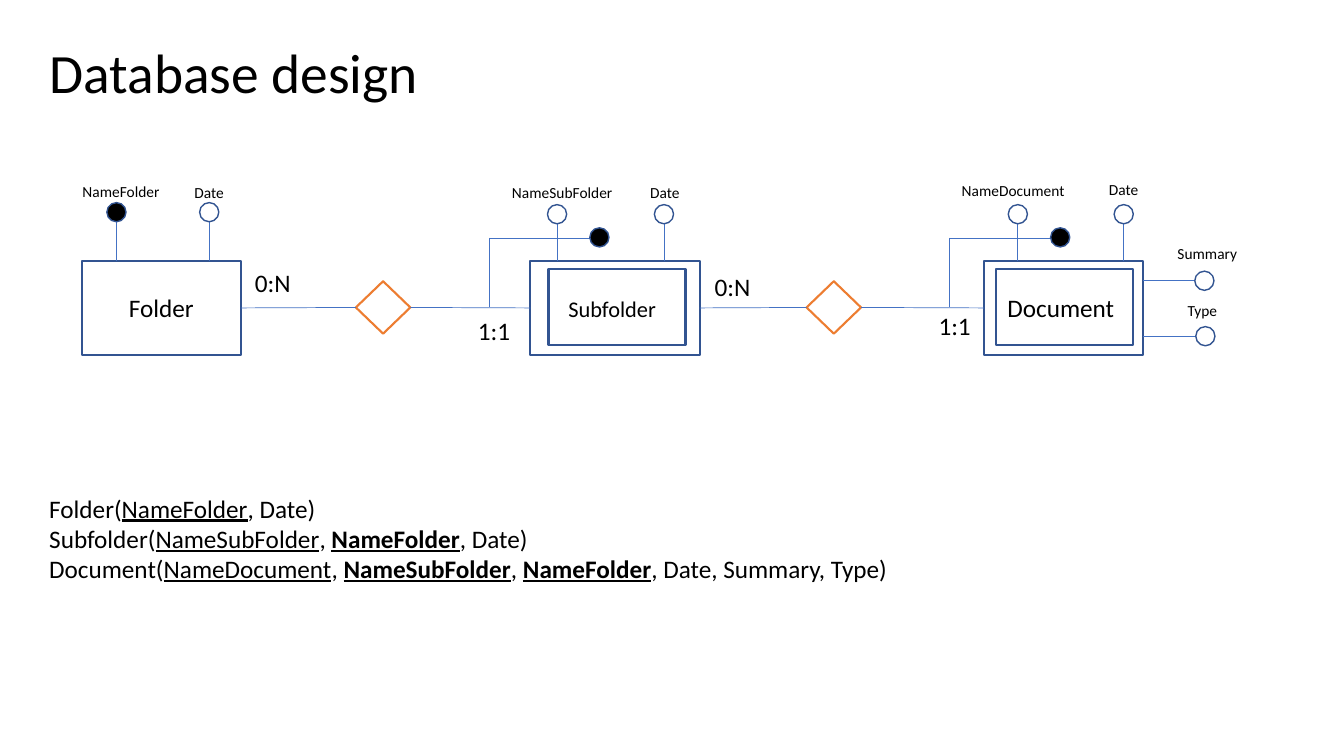
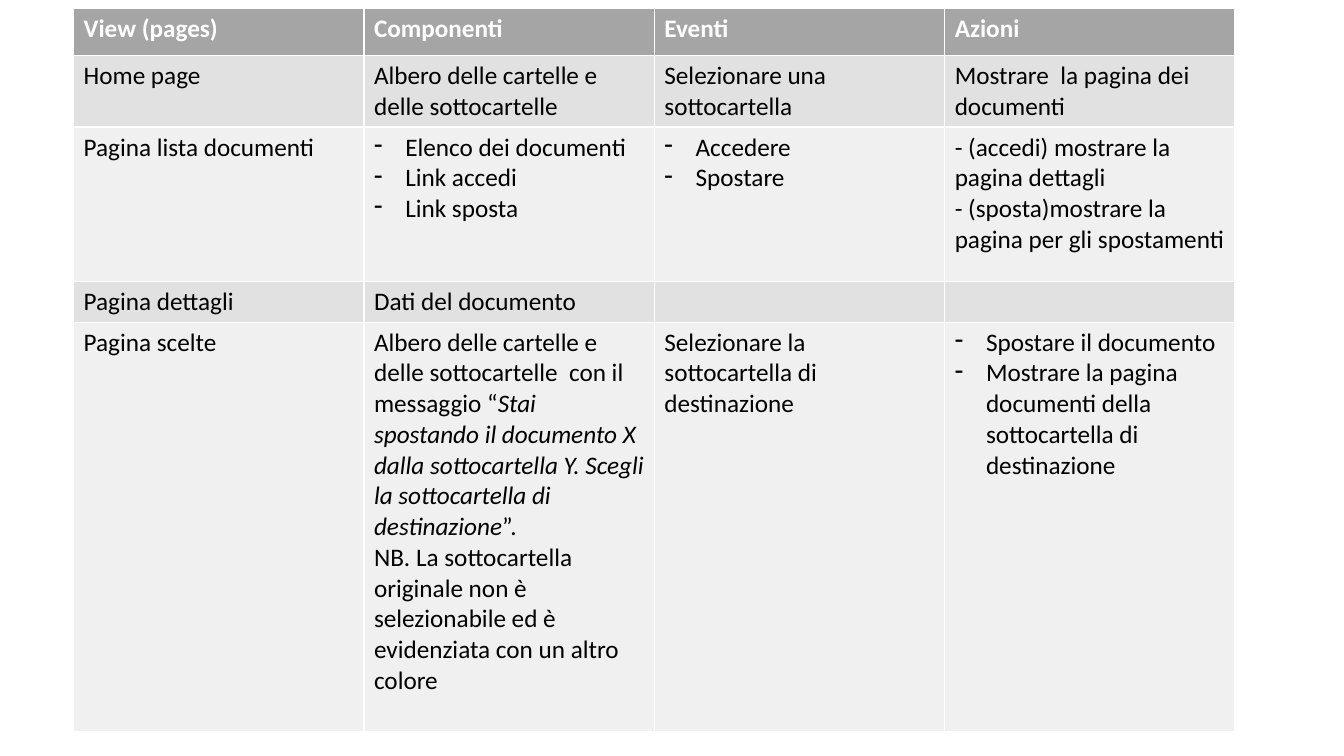
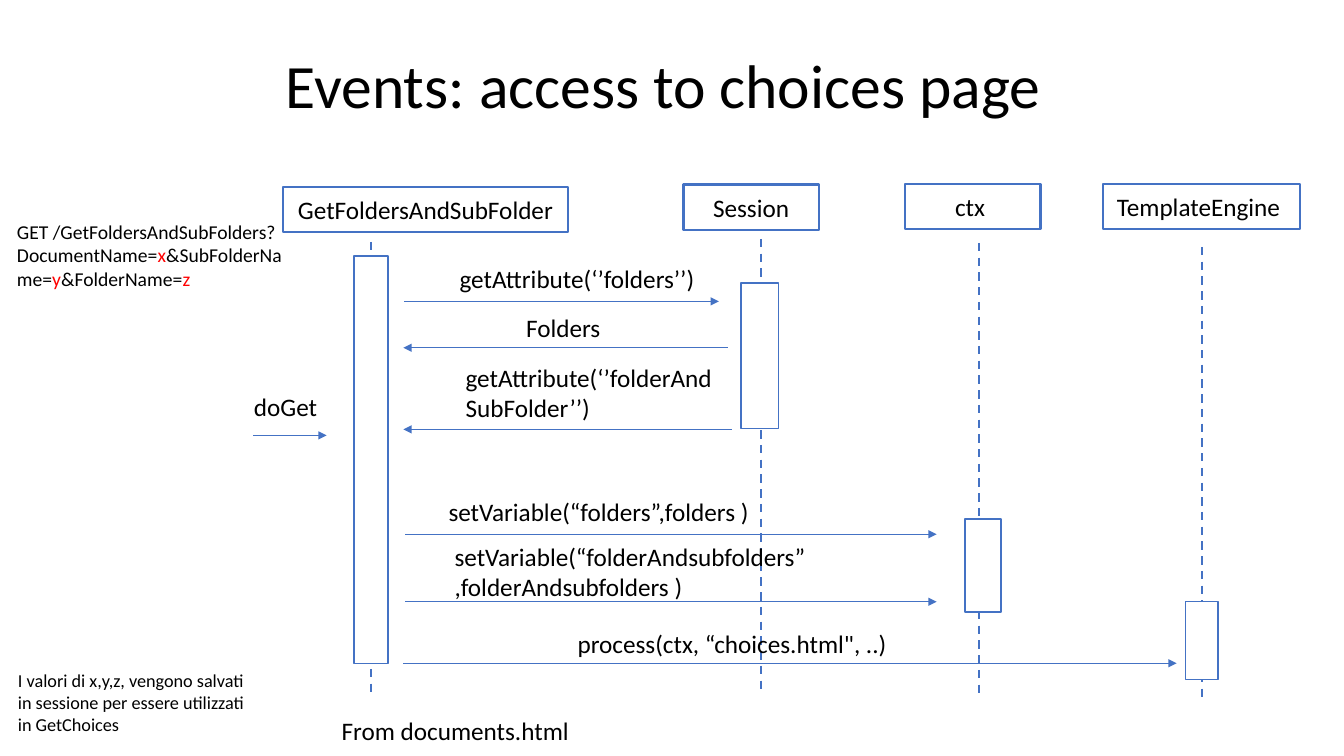
from lxml import etree
from pptx import Presentation
from pptx.dml.color import RGBColor
from pptx.enum import dml, shapes, text
from pptx.oxml import ns
from pptx.util import Inches, Pt

FONT = "Calibri"
BLACK = RGBColor(0x00, 0x00, 0x00)
WHITE = RGBColor(0xFF, 0xFF, 0xFF)
RED = RGBColor(0xFF, 0x00, 0x00)
BLUE = RGBColor(0x44, 0x72, 0xC4)
NAVY = RGBColor(0x32, 0x54, 0x91)
ORANGE = RGBColor(0xED, 0x7D, 0x31)
HEADER_GRAY = RGBColor(0xA5, 0xA5, 0xA5)
BAND_GRAYS = (RGBColor(0xE1, 0xE1, 0xE1), RGBColor(0xF0, 0xF0, 0xF0))

LEFT, CENTER = text.PP_ALIGN.LEFT, text.PP_ALIGN.CENTER
RECT, OVAL, DIAMOND = (shapes.MSO_SHAPE.RECTANGLE, shapes.MSO_SHAPE.OVAL,
                       shapes.MSO_SHAPE.DIAMOND)
TOP_SIDE, LEFT_SIDE, BOTTOM_SIDE, RIGHT_SIDE = range(4)

# A paragraph is a list of spans; a span is a string or (string, format).
KEY = {"underline": True}
FOREIGN_KEY = {"underline": True, "bold": True}
ITALIC = {"italic": True}
VALUE = {"color": RED}

# Database design: positions are left, top, width, height
ENTITIES = [
    ((0.81, 2.59, 1.58, 0.93), ["Folder"], 18),
    ((5.26, 2.59, 1.68, 0.93), ["Subfolder", (" ", {"size": Pt(18)})], 16),
    ((9.76, 2.59, 1.58, 0.93), ["Document "], 18),
]
WEAK_FRAMES = [(5.44, 2.67, 1.36, 0.75), (9.88, 2.67, 1.36, 0.75)]
RELATION_LEFTS = [3.53, 8.0]
CARDINALITIES = [("0:N", 2.43, 2.6), ("1:1", 4.64, 3.08),
                 ("0:N", 6.99, 2.64), ("1:1", 9.21, 3.03)]
DOT = 0.19
# label, label left, label top, dot left, dot top, dot fill
TOP_ATTRIBUTES = [
    ("NameFolder", 0.72, 1.76, 1.06, 2.01, BLACK),
    ("Date", 1.83, 1.77, 1.98, 2.01, None),
    ("NameSubFolder", 4.98, 1.77, 5.43, 2.03, None),
    ("Date", 6.35, 1.77, 6.49, 2.03, None),
    ("NameDocument", 9.44, 1.75, 10.0, 2.03, None),
    ("Date", 10.9, 1.74, 11.05, 2.03, None),
]
SIDE_ATTRIBUTES = [
    ("Summary", 11.58, 2.37, 11.85, 2.69, None),
    ("Type", 11.68, 2.94, 11.86, 3.24, None),
]
EXTERNAL_KEY_LEFTS = [4.85, 9.42]
SCHEMA = [
    ["Folder(", ("NameFolder", KEY), ", Date)"],
    ["Subfolder(", ("NameSubFolder", KEY), ", ",
     ("NameFolder", FOREIGN_KEY), ", Date)"],
    ["Document(", ("NameDocument", KEY), ", ", ("NameSubFolder", FOREIGN_KEY),
     ", ", ("NameFolder", FOREIGN_KEY), ", Date, Summary, Type)"],
]

# Views table: a cell is a list of paragraphs; a tuple is a dashed list
VIEWS = [
    [[["View (pages)"]], [["Componenti"]], [["Eventi"]], [["Azioni"]]],
    [[["Home page"]],
     [["Albero delle cartelle e delle sottocartelle"]],
     [["Selezionare una sottocartella"]],
     [["Mostrare  la pagina dei documenti"]]],
    [[["Pagina lista documenti"]],
     (["Elenco dei documenti"], ["Link accedi"], ["Link sposta"]),
     (["Accedere"], ["Spostare"]),
     [["- (accedi) mostrare la pagina dettagli"],
      ["- (sposta)mostrare la pagina per gli spostamenti"]]],
    [[["Pagina dettagli"]], [["Dati del documento"]], [], []],
    [[["Pagina scelte"]],
     [["Albero delle cartelle e delle sottocartelle  con il messaggio “",
       ("Stai spostando il documento X dalla sottocartella Y. "
        "Scegli la sottocartella di destinazione", ITALIC), "”."],
      ["NB. La sottocartella originale non è selezionabile ed è "
       "evidenziata con un altro colore"]],
     [["Selezionare la sottocartella di destinazione"]],
     (["Spostare il documento"],
      ["Mostrare la pagina documenti della sottocartella di destinazione"])],
]
ROW_HEIGHTS = [0.47, 0.7, 1.53, 0.4, 4.06]
COLUMN_WIDTH = 2.88

# Sequence diagram: name, head position, lifeline x and top, bar position
PARTICIPANTS = [
    ("GetFoldersAndSubFolder", (2.81, 1.86, 2.82, 0.44), 3.68, 2.4,
     (3.51, 2.54, 0.34, 4.04)),
    ("Session", (6.78, 1.83, 1.34, 0.45), 7.55, 2.37,
     (7.35, 2.81, 0.37, 1.44)),
    ("ctx ", (8.98, 1.83, 1.34, 0.44), 9.71, 2.41, (9.57, 5.15, 0.36, 0.92)),
    ("TemplateEngine ", (10.94, 1.83, 1.95, 0.44), 11.92, 2.45,
     (11.76, 5.97, 0.32, 0.77)),
]
LIFELINE_LENGTH = 4.47
# label, label position, arrow start x, arrow end x, arrow y
MESSAGES = [
    ("getAttribute(‘’folders’’)", (4.46, 2.56, 2.7, 0.4), 4.01, 7.13, 2.99),
    ("Folders", (5.12, 3.05, 1.1, 0.4), 7.22, 4.0, 3.45),
    ("getAttribute(‘’folderAndSubFolder’’)", (4.52, 3.54, 2.74, 0.71),
     7.26, 4.0, 4.26),
    ("doGet", (2.42, 3.83, 1.0, 0.4), 2.51, 3.24, 4.32),
    ("setVariable(“folders”,folders )", (4.35, 4.87, 3.65, 0.4),
     4.02, 9.29, 5.3),
    ("setVariable(“folderAndsubfolders”,folderAndsubfolders )",
     (4.41, 5.32, 3.69, 0.71), 4.02, 9.29, 5.97),
    ("process(ctx, “choices.html\", ..)", (5.63, 6.18, 3.78, 0.4),
     4.0, 11.67, 6.58),
]
NOTES = [
    (["GET /GetFoldersAndSubFolders?DocumentName=", ("x", VALUE),
      "&SubFolderName=", ("y", VALUE), "&FolderName=", ("z", VALUE)],
     (0.07, 2.13, 2.94, 1.28), 14),
    (["I valori di x,y,z, vengono salvati in sessione per essere utilizzati "
      "in GetChoices"], (0.08, 6.59, 2.56, 1.06), 13),
    (["From documents.html"], (3.29, 7.05, 4.17, 0.4), 18),
]


def inches(position):
    return [Inches(value) for value in position]


def write(frame, paragraphs, size=18, color=BLACK, align=LEFT, bold=False):
    for index, spans in enumerate(paragraphs):
        para = frame.paragraphs[0] if index == 0 else frame.add_paragraph()
        para.alignment = align
        for item in spans:
            words, extra = (item, {}) if isinstance(item, str) else item
            span = para.add_run()
            span.text = words
            look = {"name": FONT, "size": Pt(size), "bold": bold,
                    "color": color, **extra}
            span.font.color.rgb = look.pop("color")
            for name, value in look.items():
                setattr(span.font, name, value)


def add_label(page, position, paragraphs, size=18):
    frame = page.shapes.add_textbox(*inches(position)).text_frame
    frame.word_wrap = True
    write(frame, paragraphs, size)


def add_figure(page, kind, position, line, width, fill=None):
    figure = page.shapes.add_shape(kind, *inches(position))
    figure.shadow.inherit = False
    figure.line.color.rgb = line
    figure.line.width = Pt(width)
    if fill is None:
        figure.fill.background()
    else:
        figure.fill.solid()
        figure.fill.fore_color.rgb = fill
    return figure


def add_line(page, start=(0, 0), end=(0, 0), width=0.5, dashed=False,
             arrow=False):
    line = page.shapes.add_connector(shapes.MSO_CONNECTOR.STRAIGHT,
                                     *inches(start), *inches(end))
    line.line.color.rgb = BLUE
    line.line.width = Pt(width)
    if dashed:
        line.line.dash_style = dml.MSO_LINE.DASH
    if arrow:
        etree.SubElement(line.line._get_or_add_ln(), ns.qn("a:tailEnd"),
                         type="triangle")
    etree.SubElement(line._element.spPr, ns.qn("a:effectLst"))
    return line


def join(page, first, second):
    """Link the right side of one figure to the left side of the next."""
    line = add_line(page)
    line.begin_connect(first, RIGHT_SIDE)
    line.end_connect(second, LEFT_SIDE)


def add_titled_page(deck, title, position, size, align):
    page = deck.slides.add_slide(deck.slide_layouts[5])
    box = page.shapes.title
    box.left, box.top, box.width, box.height = inches(position)
    frame = box.text_frame
    frame.auto_size = text.MSO_AUTO_SIZE.NONE
    frame.vertical_anchor = text.MSO_ANCHOR.MIDDLE
    write(frame, [[title]], size, align=align)
    frame.paragraphs[0].line_spacing = 0.9
    return page


def add_attribute(page, attribute):
    label, label_left, label_top, left, top, fill = attribute
    add_label(page, (label_left, label_top, 1.4, 0.29), [[label]], 11)
    add_figure(page, OVAL, (left, top, DOT, DOT), NAVY, 1, fill)


def build_database_page(deck):
    page = add_titled_page(deck, "Database design", (0.39, 0.13, 4.26, 1.24),
                           39.6, LEFT)
    entities = []
    for position, name, size in ENTITIES:
        entity = add_figure(page, RECT, position, NAVY, 1.5)
        write(entity.text_frame, [name], size, align=CENTER)
        entities.append(entity)
    for position in WEAK_FRAMES:
        add_figure(page, RECT, position, NAVY, 1.5)
    for index, left in enumerate(RELATION_LEFTS):
        relation = add_figure(page, DIAMOND, (left, 2.79, 0.54, 0.52),
                              ORANGE, 1.5, WHITE)
        join(page, entities[index], relation)
        join(page, relation, entities[index + 1])
    for label, left, top in CARDINALITIES:
        add_label(page, (left, top, 0.65, 0.4), [[label]])

    entity_top = ENTITIES[0][0][1]
    for attribute in TOP_ATTRIBUTES:
        left, top = attribute[3:5]
        middle = left + DOT / 2
        add_line(page, (middle, top + DOT), (middle, entity_top))
        add_attribute(page, attribute)
    last_left, _, last_width, _ = ENTITIES[-1][0]
    for attribute in SIDE_ATTRIBUTES:
        left, top = attribute[3:5]
        middle = top + DOT / 2
        add_line(page, (left, middle), (last_left + last_width, middle))
        add_attribute(page, attribute)
    for left in EXTERNAL_KEY_LEFTS:
        add_line(page, (left + 1, 2.36), (left, 2.36))
        add_line(page, (left, 2.36), (left, 3.05))
        add_figure(page, OVAL, (left + 1, 2.26, DOT, DOT), NAVY, 1, BLACK)
    add_label(page, (0.39, 4.84, 8.8, 1.01), SCHEMA)


def add_dash(para):
    props = para._p.get_or_add_pPr()
    props.set("marL", str(Inches(0.31)))
    props.set("indent", str(-Inches(0.31)))
    etree.SubElement(props, ns.qn("a:buChar"), char="-")


def build_views_page(deck):
    page = deck.slides.add_slide(deck.slide_layouts[6])
    columns = len(VIEWS[0])
    position = (0.73, 0.08, columns * COLUMN_WIDTH, sum(ROW_HEIGHTS))
    table = page.shapes.add_table(len(VIEWS), columns, *inches(position)).table
    for column in table.columns:
        column.width = Inches(COLUMN_WIDTH)
    for row, (height, contents) in enumerate(zip(ROW_HEIGHTS, VIEWS)):
        table.rows[row].height = Inches(height)
        header = row == 0
        for column, paragraphs in enumerate(contents):
            cell = table.cell(row, column)
            cell.fill.solid()
            cell.fill.fore_color.rgb = (HEADER_GRAY if header
                                        else BAND_GRAYS[(row - 1) % 2])
            write(cell.text_frame, paragraphs,
                  color=WHITE if header else BLACK, bold=header)
            if isinstance(paragraphs, tuple):
                for para in cell.text_frame.paragraphs:
                    add_dash(para)


def build_events_page(deck):
    page = add_titled_page(deck, "Events: access to choices page ",
                           (0.9, 0.15, 11.5, 1.45), 44, CENTER)
    for name, head_position, x, top, bar_position in PARTICIPANTS:
        head = add_figure(page, RECT, head_position, BLUE, 1.5, WHITE)
        write(head.text_frame, [[name]], align=CENTER)
        add_line(page, (x, top), (x, top + LIFELINE_LENGTH), 1.5, dashed=True)
        add_figure(page, RECT, bar_position, BLUE, 1, WHITE)
    for label, position, start, end, y in MESSAGES:
        add_line(page, (start, y), (end, y), arrow=True)
        add_label(page, position, [[label]])
    for spans, position, size in NOTES:
        add_label(page, position, [spans], size)


def main():
    deck = Presentation()
    deck.slide_width, deck.slide_height = Inches(13.33), Inches(7.5)
    build_database_page(deck)
    build_views_page(deck)
    build_events_page(deck)
    deck.save("out.pptx")


if __name__ == "__main__":
    main()
